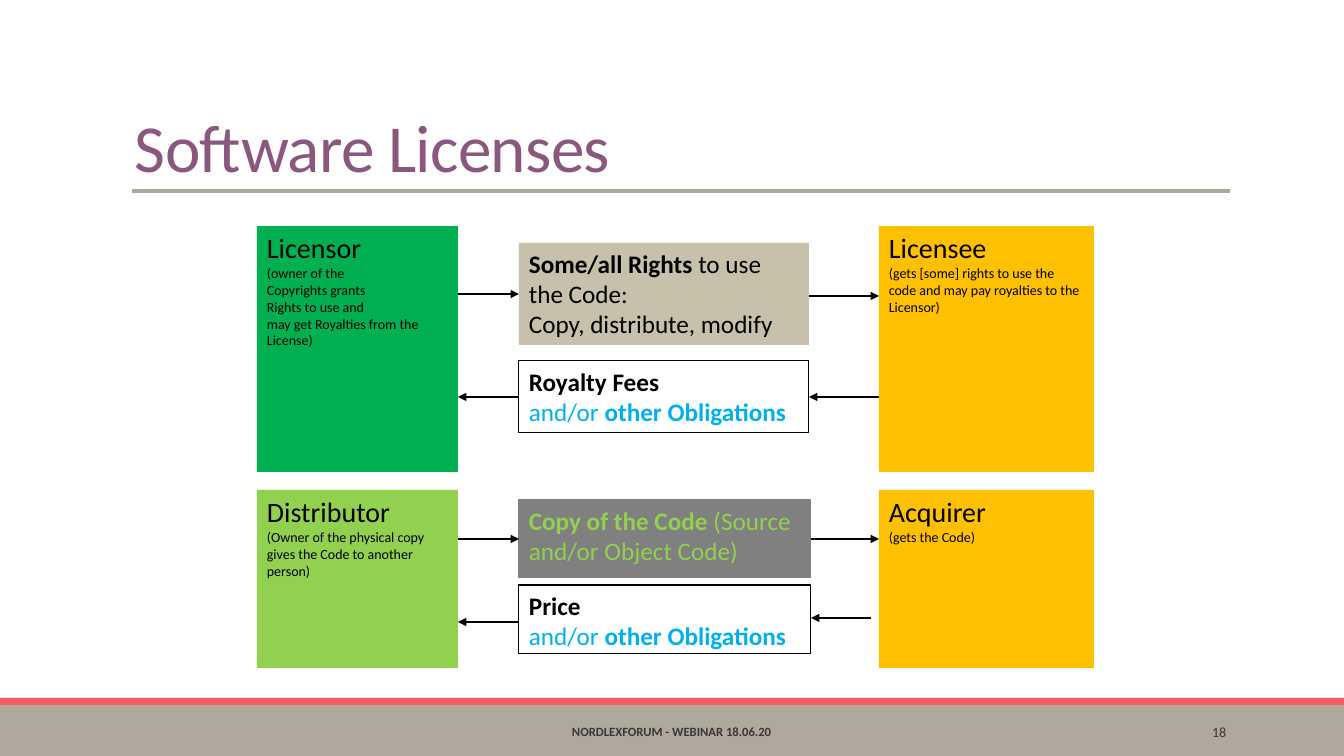
from lxml import etree
from pptx import Presentation
from pptx.dml.color import RGBColor
from pptx.enum.shapes import MSO_CONNECTOR, MSO_SHAPE
from pptx.enum.text import MSO_ANCHOR, PP_ALIGN
from pptx.oxml.ns import qn
from pptx.util import Pt

PX = 914400 / 100.8
FONT = "Calibri"
RECT = MSO_SHAPE.RECTANGLE
STRAIGHT = MSO_CONNECTOR.STRAIGHT
TOP, MIDDLE, BOTTOM = MSO_ANCHOR.TOP, MSO_ANCHOR.MIDDLE, MSO_ANCHOR.BOTTOM
LEFT, CENTER, RIGHT = PP_ALIGN.LEFT, PP_ALIGN.CENTER, PP_ALIGN.RIGHT
LEFT_SIDE, RIGHT_SIDE = 1, 3

COLORS = {
    "black": "000000",
    "taupe": "AFA89D",
    "coral": "F95D62",
    "plum": "8A587F",
    "charcoal": "373737",
    "green": "00B050",
    "lime": "92D050",
    "amber": "FFC000",
    "sand": "C7C1AB",
    "gray": "808080",
    "sky": "00B0F0",
}


def px(*lengths):
    return [round(length * PX) for length in lengths]


def rgb(color):
    return RGBColor.from_string(COLORS[color])


def write(frame, paragraphs, size=18, color="black", bold=False, align=LEFT,
          anchor=TOP, line_spacing=None, tracking=None):
    """Each paragraph is a list of (text, overrides) runs."""
    frame.word_wrap = True
    frame.vertical_anchor = anchor
    for index, runs in enumerate(paragraphs):
        paragraph = frame.add_paragraph() if index else frame.paragraphs[0]
        paragraph.alignment = align
        paragraph.line_spacing = line_spacing
        for text, overrides in runs:
            run = paragraph.add_run()
            run.text = text
            run.font.name = FONT
            run.font.size = Pt(overrides.get("size", size))
            run.font.bold = overrides.get("bold", bold)
            run.font.color.rgb = rgb(overrides.get("color", color))
            if tracking is not None:
                run.font._element.set("spc", str(tracking))


def add_label(slide, bounds, text, **style):
    label = slide.shapes.add_textbox(*px(*bounds))
    write(label.text_frame, [[(text, {})]], **style)


def add_box(slide, bounds, fill=None, outline=None, paragraphs=(), **style):
    box = slide.shapes.add_shape(RECT, *px(*bounds))
    box.shadow.inherit = False
    if fill:
        box.fill.solid()
        box.fill.fore_color.rgb = rgb(fill)
    else:
        box.fill.background()
    if outline:
        box.line.color.rgb = rgb(outline)
        box.line.width = Pt(0.75)
    else:
        box.line.fill.background()
    write(box.text_frame, paragraphs, **style)
    return box


def add_party(slide, bounds, fill, name, details):
    paragraphs = [[(name, {"size": 20})]] + [[(line, {})] for line in details]
    return add_box(slide, bounds, fill, paragraphs=paragraphs, size=10)


def add_payment(slide, bounds, name):
    obligations = [("and/or ", {"color": "sky"}),
                   ("other Obligations", {"color": "sky", "bold": True})]
    return add_box(slide, bounds, outline="black",
                   paragraphs=[[(name, {"bold": True})], obligations])


def add_line(slide, start_x, end_x, y, color, width):
    line = slide.shapes.add_connector(STRAIGHT, *px(start_x, y, end_x, y))
    line.line.color.rgb = rgb(color)
    line.line.width = Pt(width)
    etree.SubElement(line._element.spPr, qn("a:effectLst"))
    return line


def add_arrow(slide, start_x, end_x, y, source=None, target=None):
    """source and target are (box, side) pairs for joined ends."""
    arrow = add_line(slide, start_x, end_x, y, "black", 1)
    outline = arrow._element.spPr.find(qn("a:ln"))
    etree.SubElement(outline, qn("a:tailEnd"), type="triangle")
    if source:
        arrow.begin_connect(*source)
    if target:
        arrow.end_connect(*target)


def main():
    deck = Presentation()
    deck.slide_width, deck.slide_height = px(1344, 756)
    slide = deck.slides.add_slide(deck.slide_layouts[6])

    # Footer bands, title and its rule
    add_box(slide, (0, 705, 1344, 51), "taupe")
    add_box(slide, (0, 698, 1344, 7), "coral")
    add_line(slide, 132, 1230, 191, "taupe", 3)
    add_label(slide, (125, 31, 724, 160), "Software Licenses", size=48,
              color="plum", anchor=BOTTOM, line_spacing=0.85, tracking=-50)
    add_label(slide, (406, 712, 531, 40), "NORDLEXFORUM - WEBINAR 18.06.20",
              size=9, color="charcoal", bold=True, align=CENTER, anchor=MIDDLE)
    add_label(slide, (1092, 712, 144, 40), "18", size=10, color="charcoal",
              align=RIGHT, anchor=MIDDLE)

    # Parties
    add_party(slide, (257, 226, 201, 246), "green", "Licensor",
              ["(owner of the", "Copyrights grants", "Rights to use and",
               "may get Royalties from the License)"])
    add_party(slide, (879, 226, 215, 246), "amber", "Licensee",
              ["(gets [some] rights to use the code and may pay royalties "
               "to the Licensor)"])
    add_party(slide, (257, 490, 201, 178), "lime", "Distributor",
              ["(Owner of the physical copy",
               "gives the Code to another person)"])
    add_party(slide, (879, 490, 215, 178), "amber", "Acquirer",
              ["(gets the Code)"])

    # What is exchanged
    rights = add_box(
        slide, (519, 243, 290, 102), "sand",
        paragraphs=[[("Some/all Rights ", {"bold": True}),
                     ("to use the Code:", {})],
                    [("Copy, distribute, modify", {})]])
    fees = add_payment(slide, (519, 361, 290, 72), "Royalty Fees")
    code_copy = add_box(
        slide, (519, 500, 292, 78), "gray", "gray", color="lime",
        paragraphs=[[("Copy of the Code ", {"bold": True}),
                     ("(Source and/or Object Code)", {})]])
    add_payment(slide, (519, 585, 292, 69), "Price")

    # Arrows of the license
    add_arrow(slide, 458, 519, 294, target=(rights, LEFT_SIDE))
    add_arrow(slide, 809, 879, 296)
    add_arrow(slide, 879, 809, 397, target=(fees, RIGHT_SIDE))
    add_arrow(slide, 519, 458, 397, source=(fees, LEFT_SIDE))

    # Arrows of the distribution
    add_arrow(slide, 458, 519, 539, target=(code_copy, LEFT_SIDE))
    add_arrow(slide, 811, 879, 539, source=(code_copy, RIGHT_SIDE))
    add_arrow(slide, 871, 811, 618)
    add_arrow(slide, 519, 458, 622)

    deck.save("out.pptx")


if __name__ == "__main__":
    main()
